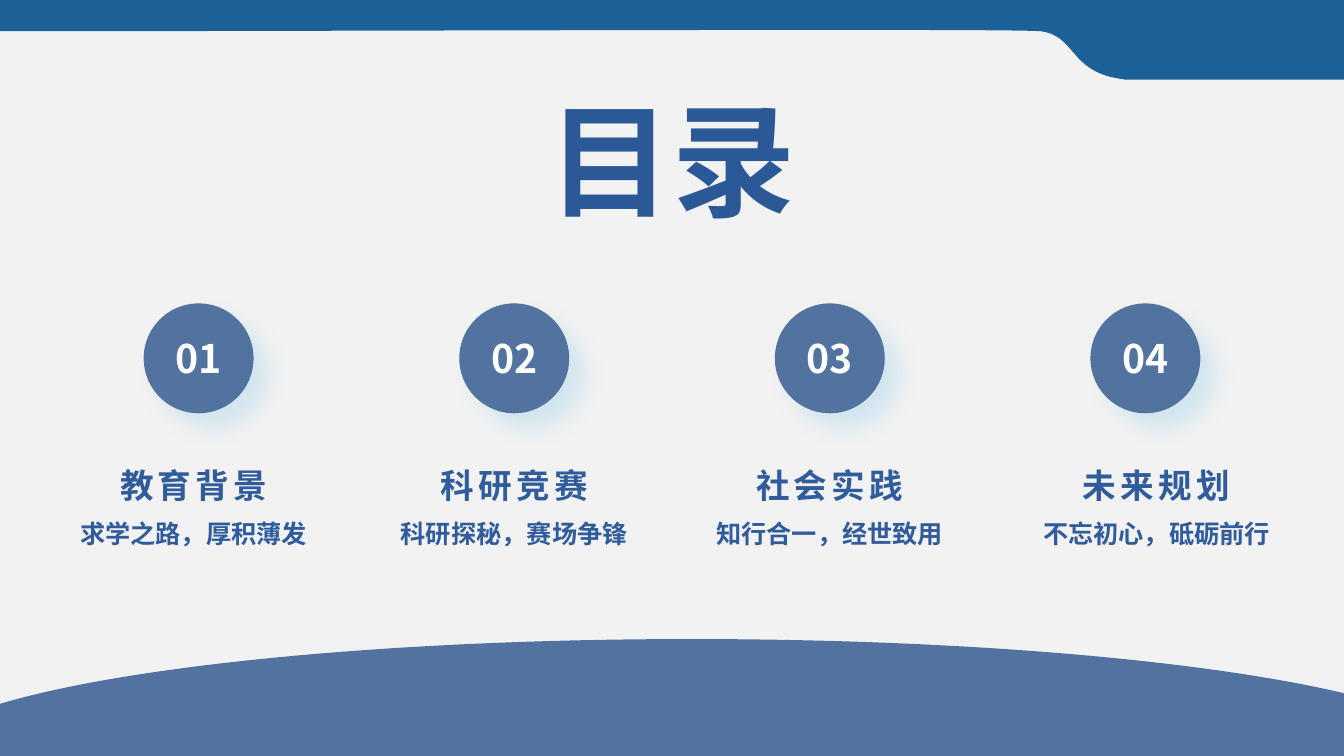
"""Build a contents slide with four numbered sections."""
from lxml.etree import SubElement
from pptx import Presentation
from pptx.dml.color import RGBColor
from pptx.enum.shapes import MSO_SHAPE
from pptx.enum.text import MSO_ANCHOR, PP_ALIGN
from pptx.oxml.ns import qn
from pptx.util import Inches, Pt

TITLE = "目录"
SECTIONS = [
    ("教育背景", "求学之路，厚积薄发", -0.05),
    ("科研竞赛", "科研探秘，赛场争锋", 0),
    ("社会实践", "知行合一，经世致用", 0),
    ("未来规划", "不忘初心，砥砺前行", 0.11),
]
COLORS = {"page": "F2F2F2", "band": "1C6299", "hill": "5273A0", "title": "2B5897",
          "text": "305C9C", "white": "FFFFFF", "glow": "58B6E5"}
CJK = "Noto Sans CJK SC"
W, H = 13.33, 7.5
FIRST_CENTER, PITCH = 1.97, 3.13
BADGE_TOP, BADGE = 3.01, 1.09
HEAD_TOP, HEAD_W, HEAD_H = 4.36, 2.2, 0.63
NOTE_TOP, NOTE_W, NOTE_H = 5.09, 2.84, 0.43
TITLE_TOP, TITLE_W, TITLE_H = 0.79, 3.81, 1.58

HILL = [[(6.86, 6.34)], [(9.55, 6.34), (11.92, 6.55), (13.3, 6.87)], [(W, 6.88)], [(W, H)],
        [(0, H)], [(0, 6.98)], [(0.01, 6.98)], [(1.29, 6.6), (3.88, 6.34), (6.86, 6.34)]]
BAND = [[(0, 0)], [(W, 0)], [(W, 0.79)], [(11.16, 0.79)], [(11.1, 0.78)],
        [(10.6, 0.7), (10.67, 0.35), (10.32, 0.31)],
        [(9.97, 0.28), (3.44, 0.31), (0, 0.31)]]


def rgb(name):
    return RGBColor.from_string(COLORS[name])


def paint(sp, color):
    sp.shadow.inherit = False
    sp.fill.solid()
    sp.fill.fore_color.rgb = rgb(color)
    sp.line.fill.background()


def add_outline(s, outline, color):
    points = [(Inches(x), Inches(y)) for segment in outline for x, y in segment]
    builder = s.shapes.build_freeform(*points[0])
    builder.add_line_segments(points[1:], close=True)
    sp = builder.convert_to_shape()
    paint(sp, color)
    lines = iter(list(sp._element.iter(qn("a:lnTo"))))
    for segment in outline[1:]:
        first, *others = [next(lines) for _ in segment]
        if others:
            first.tag = qn("a:cubicBezTo")
            for line in others:
                first.append(line[0])
                line.getparent().remove(line)


def write(sp, text, size, color, font=CJK, spacing=None, leading=None):
    p = sp.text_frame.paragraphs[0]
    p.alignment = PP_ALIGN.CENTER
    p.line_spacing = leading
    r = p.add_run()
    r.text = text
    r.font.size, r.font.bold, r.font.name = Pt(size), True, font
    r.font.color.rgb = rgb(color)
    props = r._r.get_or_add_rPr()
    SubElement(props, qn("a:ea"), typeface=CJK)
    if spacing:
        props.set("spc", str(spacing * 100))


def add_text(s, center, top, width, height, *style, **options):
    sp = s.shapes.add_textbox(Inches(center - width / 2), Inches(top),
                              Inches(width), Inches(height))
    sp.text_frame.word_wrap = True
    write(sp, *style, **options)


def add_badge(s, center, label):
    sp = s.shapes.add_shape(MSO_SHAPE.OVAL, Inches(center - BADGE / 2), Inches(BADGE_TOP),
                            Inches(BADGE), Inches(BADGE))
    paint(sp, "hill")
    effects = sp._element.spPr.find(qn("a:effectLst"))
    shadow = SubElement(effects, qn("a:outerShdw"), blurRad=str(Pt(15)), dist=str(Pt(15)),
                        dir=str(45 * 60000), algn="tl", rotWithShape="0")
    tint = SubElement(shadow, qn("a:srgbClr"), val=COLORS["glow"])
    SubElement(tint, qn("a:alpha"), val="20000")
    sp.text_frame.word_wrap = False
    sp.text_frame.vertical_anchor = MSO_ANCHOR.MIDDLE
    write(sp, label, 28, "white")


def main():
    prs = Presentation()
    prs.slide_width, prs.slide_height = Inches(W), Inches(H)
    s = prs.slides.add_slide(prs.slide_layouts[6])
    s.background.fill.solid()
    s.background.fill.fore_color.rgb = rgb("page")

    add_outline(s, HILL, "hill")
    add_text(s, W / 2, TITLE_TOP, TITLE_W, TITLE_H, TITLE, 88, "title")
    for i, (head, note, shift) in enumerate(SECTIONS):
        center = FIRST_CENTER + i * PITCH
        add_badge(s, center, f"{i + 1:02d}")
        add_text(s, center + shift, HEAD_TOP, HEAD_W, HEAD_H, head, 24, "text",
                 font="Arial", spacing=3, leading=1.5)
        add_text(s, center + shift, NOTE_TOP, NOTE_W, NOTE_H, note, 18, "text")
    add_outline(s, BAND, "band")
    prs.save("out.pptx")


if __name__ == "__main__":
    main()
